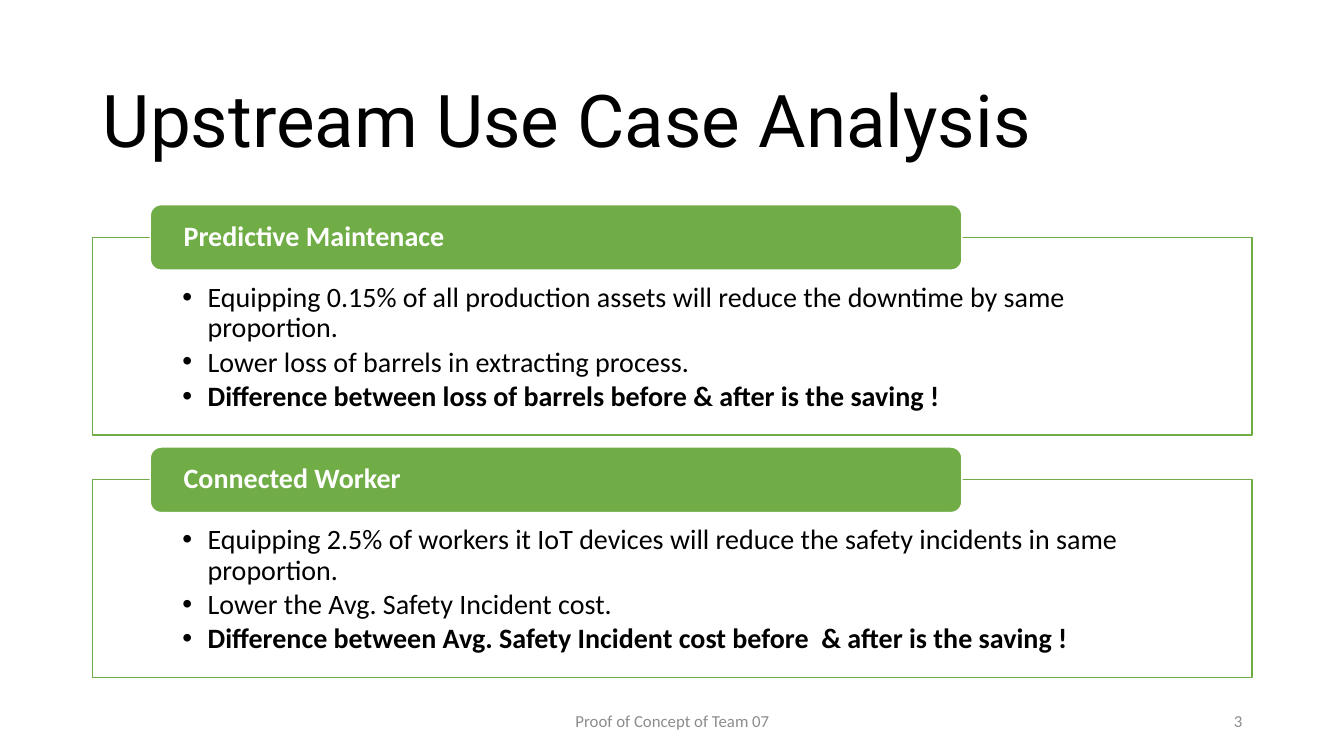
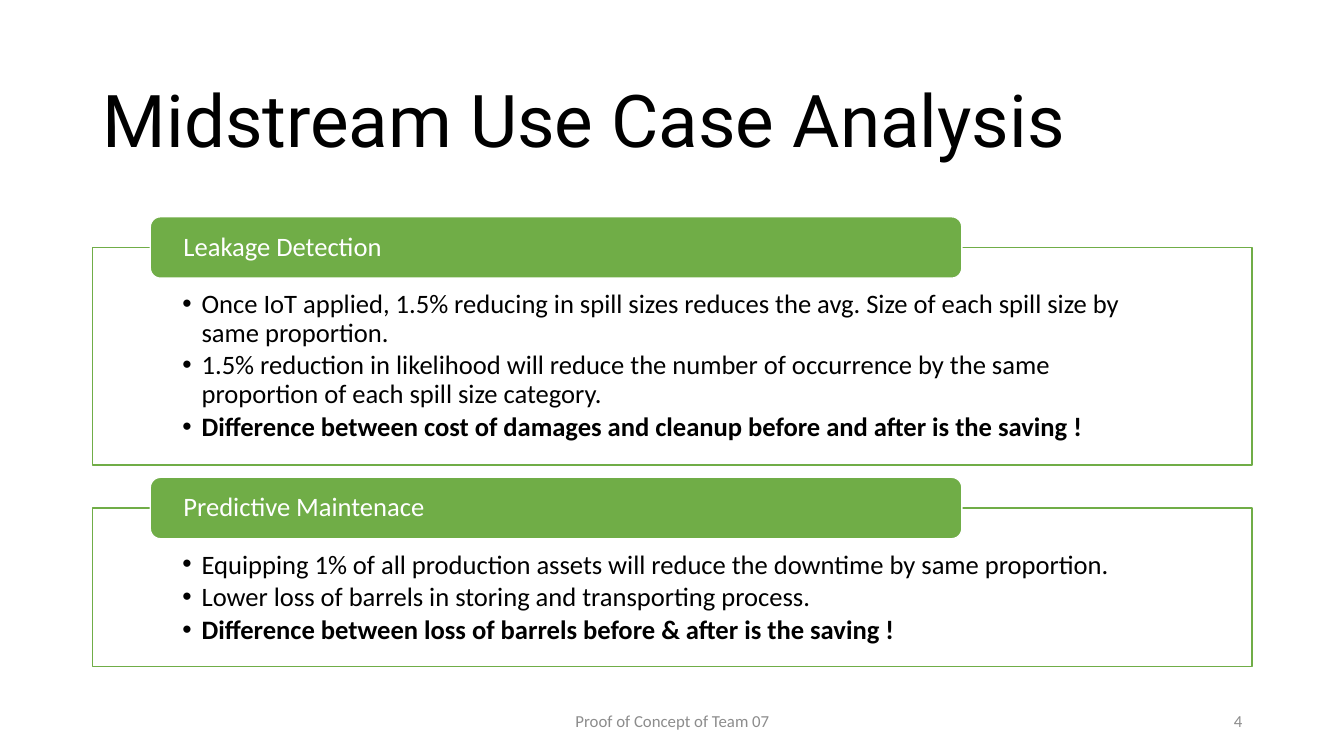
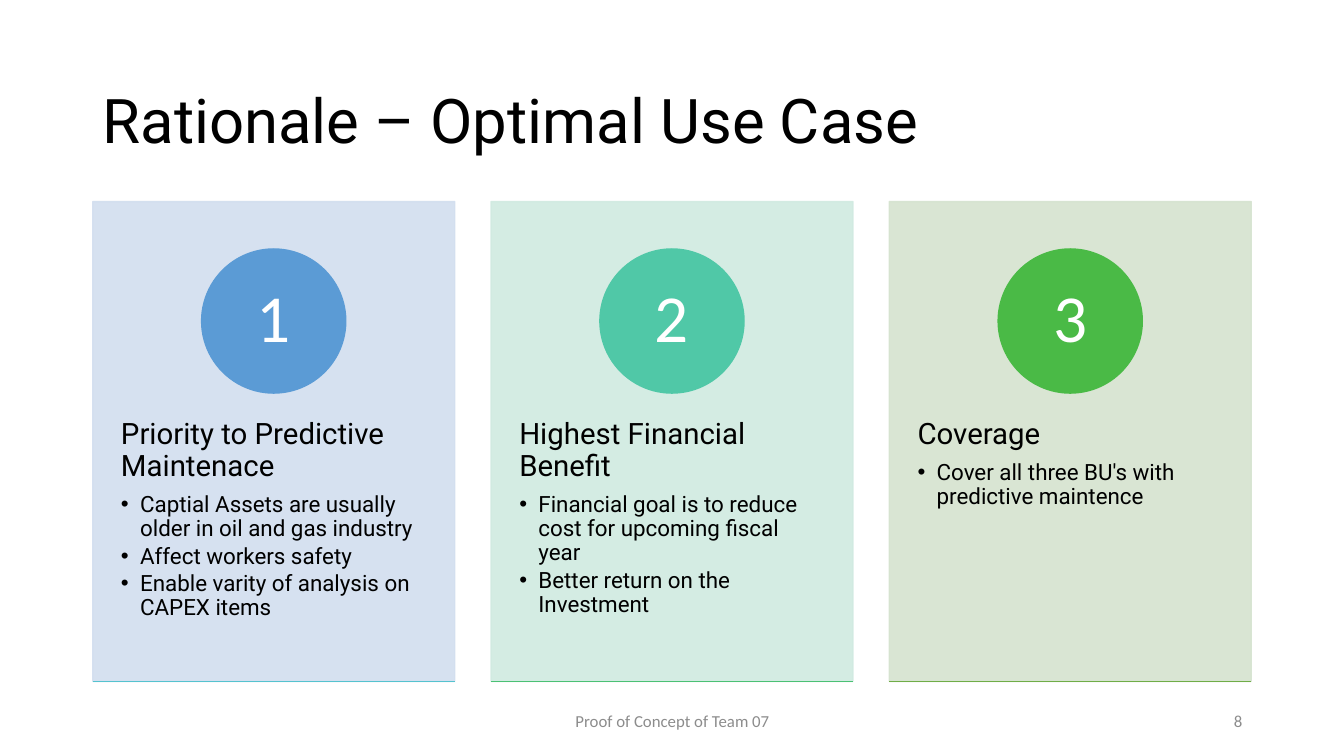
"""Build three slides of a use case analysis: two with tabbed frames, one with numbered cards."""
from dataclasses import dataclass
from typing import Optional

from lxml.etree import SubElement
from pptx import Presentation
from pptx.dml.color import RGBColor
from pptx.enum.shapes import MSO_CONNECTOR as Connector, MSO_SHAPE as Shape
from pptx.enum.text import MSO_ANCHOR as Anchor, MSO_AUTO_SIZE as AutoSize, PP_ALIGN as Align
from pptx.oxml.ns import qn
from pptx.util import Inches, Pt

BLACK, WHITE, GREEN, GREY = "000000", "FFFFFF", "70AD47", "8C8C8C"
HEADING_FONT, BODY_FONT = "Roboto", "Calibri"
MARGIN, CONTENT_WIDTH = 0.92, 11.5
TAB_LEFT, TAB_WIDTH, FRAME_GAP = 1.49, 8.05, 0.12
CARD_TOP, CARD_WIDTH, CARD_HEIGHT, CARD_PITCH = 2, 3.59, 4.76, 3.95
BADGE_TOP, BADGE_SIZE = 2.47, 1.43
FOOTER = "Proof of Concept of Team 07"


@dataclass(frozen=True)
class UseCase:
    name: str
    height: float
    points: tuple[str, ...]


@dataclass(frozen=True)
class Analysis:
    title: str
    page: int
    top: float
    tab_height: float
    size: float
    indent: float
    bold_tabs: bool
    use_cases: tuple[UseCase, ...]


@dataclass(frozen=True)
class Reason:
    heading: str
    points: tuple[str, ...]
    panel: str
    badge: str
    rule: str


ANALYSES = (
    Analysis("Upstream Use Case Analysis", 3, 2.03, 0.65, 20, 0.25, True, (
        UseCase("Predictive Maintenace", 1.96, (
            "Equipping 0.15% of all production assets will reduce the downtime by same proportion.",
            "Lower loss of barrels in extracting process.",
            "Difference between loss of barrels before & after is the saving !")),
        UseCase("Connected Worker", 1.96, (
            "Equipping 2.5% of workers it IoT devices will reduce the safety incidents in same proportion.",
            "Lower the Avg. Safety Incident cost.",
            "Difference between Avg. Safety Incident cost before  & after is the saving !")))),
    Analysis("Midstream Use Case Analysis", 4, 2.15, 0.61, 19, 0.19, False, (
        UseCase("Leakage Detection", 2.16, (
            "Once IoT applied, 1.5% reducing in spill sizes reduces the avg. Size of each spill size by "
            "same proportion.",
            "1.5% reduction in likelihood will reduce the number of occurrence by the same proportion "
            "of each spill size category.",
            "Difference between cost of damages and cleanup before and after is the saving !")),
        UseCase("Predictive Maintenace", 1.57, (
            "Equipping 1% of all production assets will reduce the downtime by same proportion.",
            "Lower loss of barrels in storing and transporting process.",
            "Difference between loss of barrels before & after is the saving !")))),
)

REASONS = (
    Reason("Priority to Predictive Maintenace", (
        "Captial Assets are usually older in oil and gas industry",
        "Affect workers safety",
        "Enable varity of analysis on CAPEX items"), "D2DEEF", "5B9BD5", "55C3CF"),
    Reason("Highest Financial Benefit", (
        "Financial goal is to reduce cost for upcoming fiscal year",
        "Better return on the Investment"), "D0EAE1", "50C8A7", "4BC174"),
    Reason("Coverage", ("Cover all three BU's with predictive maintence",),
           "D5E3CF", "4ABA46", GREEN),
)


def paint(color_format, color: str, opacity: int = 100) -> None:
    """Give a fill or a line's fill one solid colour, with opacity in percent."""
    color_format.solid()
    color_format.fore_color.rgb = RGBColor.from_string(color)
    if opacity < 100:
        for clr in color_format._xPr.iter(qn("a:srgbClr")):
            if clr.getparent().getparent().tag == color_format._xPr.tag:
                SubElement(clr, qn("a:alpha"), val=str(opacity * 1000))


def set_frame(frame, insets: tuple[float, float, float, float] = (0.1, 0.05, 0.1, 0.05),
              anchor: Anchor = Anchor.MIDDLE) -> None:
    """Set wrapping, insets (left, top, right, bottom) and anchor of a text frame."""
    frame.word_wrap = True
    frame.auto_size = AutoSize.NONE
    frame.vertical_anchor = anchor
    frame.margin_left, frame.margin_top, frame.margin_right, frame.margin_bottom = map(Inches, insets)


def write(frame, text: str, *, size: float, color: str = BLACK, font: str = BODY_FONT,
          bold: bool = False, align: Align = Align.LEFT, line_spacing: float = 0.9,
          after: float = 0, bullet_indent: Optional[float] = None) -> None:
    """Write one paragraph into a frame; after is a share of the text size."""
    paragraph = frame.add_paragraph() if frame.text else frame.paragraphs[0]
    paragraph.alignment = align
    paragraph.line_spacing = line_spacing
    paragraph.space_before = Pt(0)
    paragraph.space_after = Pt(round(size * after, 1))
    run = paragraph.add_run()
    run.text = text
    run.font.size, run.font.name, run.font.bold = Pt(size), font, bold
    run.font.color.rgb = RGBColor.from_string(color)
    if bullet_indent is not None:
        properties = paragraph._p.get_or_add_pPr()
        properties.set("marL", str(Inches(bullet_indent)))
        properties.set("indent", str(-Inches(bullet_indent)))
        SubElement(properties, qn("a:buFont"), typeface="Arial")
        SubElement(properties, qn("a:buChar"), char="•")


def add_block(slide, kind: Shape, left: float, top: float, width: float, height: float, *,
              fill: str, line: str, fill_opacity: int = 100, line_opacity: int = 100):
    """Add a filled and outlined shape and return its text frame."""
    block = slide.shapes.add_shape(kind, Inches(left), Inches(top), Inches(width), Inches(height))
    block.shadow.inherit = False
    paint(block.fill, fill, fill_opacity)
    block.line.width = Pt(1)
    paint(block.line.fill, line, line_opacity)
    return block.text_frame


def add_rule(slide, left: float, top: float, width: float, color: str) -> None:
    """Add a thin horizontal line."""
    rule = slide.shapes.add_connector(Connector.STRAIGHT, Inches(left), Inches(top),
                                      Inches(left + width), Inches(top))
    rule.line.width = Pt(1)
    paint(rule.line.fill, color)
    SubElement(rule._element.spPr, qn("a:effectLst"))


def add_footer_text(slide, text: str, left: float, width: float, align: Align) -> None:
    """Add one grey text of the footer."""
    box = slide.shapes.add_textbox(Inches(left), Inches(6.95), Inches(width), Inches(0.4))
    set_frame(box.text_frame)
    write(box.text_frame, text, size=12, color=GREY, align=align, line_spacing=1.0)


def add_slide(deck, title: str, page: int, title_size: float):
    """Add a slide with its title and footer."""
    slide = deck.slides.add_slide(deck.slide_layouts[5])
    heading = slide.shapes.title
    heading.left, heading.top = Inches(MARGIN), Inches(0.61)
    heading.width, heading.height = Inches(CONTENT_WIDTH), Inches(1.24)
    set_frame(heading.text_frame)
    write(heading.text_frame, title, size=title_size, font=HEADING_FONT)
    add_footer_text(slide, str(page), 9.42, 3, Align.RIGHT)
    add_footer_text(slide, FOOTER, 4.42, 4.5, Align.CENTER)
    return slide


def add_use_case(slide, use_case: UseCase, analysis: Analysis, tab_top: float) -> float:
    """Draw a frame with its tab and return the top of the next tab."""
    frame_top = tab_top + analysis.tab_height / 2
    body = add_block(slide, Shape.RECTANGLE, MARGIN, frame_top, CONTENT_WIDTH, use_case.height,
                     fill=WHITE, line=GREEN, fill_opacity=90)
    set_frame(body, (0.89, analysis.tab_height * 0.7, 0.89, 0.15), Anchor.TOP)
    for point in use_case.points:
        write(body, point, size=analysis.size, bold=point == use_case.points[-1],
              after=0.15, bullet_indent=analysis.indent)
    tab = add_block(slide, Shape.ROUNDED_RECTANGLE, TAB_LEFT, tab_top, TAB_WIDTH,
                    analysis.tab_height, fill=GREEN, line=WHITE)
    set_frame(tab, (0.3, 0, 0.3, 0))
    write(tab, use_case.name, size=analysis.size, color=WHITE, bold=analysis.bold_tabs)
    return frame_top + use_case.height + FRAME_GAP


def add_card(slide, reason: Reason, number: int) -> None:
    """Draw a numbered card with its text, badge and bottom rule."""
    left = MARGIN + (number - 1) * CARD_PITCH
    panel = add_block(slide, Shape.RECTANGLE, left, CARD_TOP, CARD_WIDTH, CARD_HEIGHT,
                      fill=reason.panel, line=reason.panel, fill_opacity=90, line_opacity=90)
    set_frame(panel, (0.28, 2.16, 0.28, 0.46), Anchor.TOP)
    write(panel, reason.heading, size=21, font=HEADING_FONT, after=0.35)
    for point in reason.points:
        write(panel, point, size=16, font=HEADING_FONT, after=0.15, bullet_indent=0.19)
    badge = add_block(slide, Shape.OVAL, left + (CARD_WIDTH - BADGE_SIZE) / 2, BADGE_TOP,
                      BADGE_SIZE, BADGE_SIZE, fill=reason.badge, line=reason.badge)
    set_frame(badge, (0.11, 0.01, 0.11, 0.01))
    write(badge, str(number), size=48, color=WHITE, align=Align.CENTER)
    add_rule(slide, left, CARD_TOP + CARD_HEIGHT, CARD_WIDTH, reason.rule)


def main() -> None:
    """Build and save the deck."""
    deck = Presentation()
    deck.slide_width, deck.slide_height = Inches(13.33), Inches(7.5)
    for analysis in ANALYSES:
        slide = add_slide(deck, analysis.title, analysis.page, 52)
        tab_top = analysis.top
        for use_case in analysis.use_cases:
            tab_top = add_use_case(slide, use_case, analysis, tab_top)
    slide = add_slide(deck, "Rationale – Optimal Use Case", 8, 44)
    for number, reason in enumerate(REASONS, start=1):
        add_card(slide, reason, number)
    deck.save("out.pptx")


if __name__ == "__main__":
    main()
